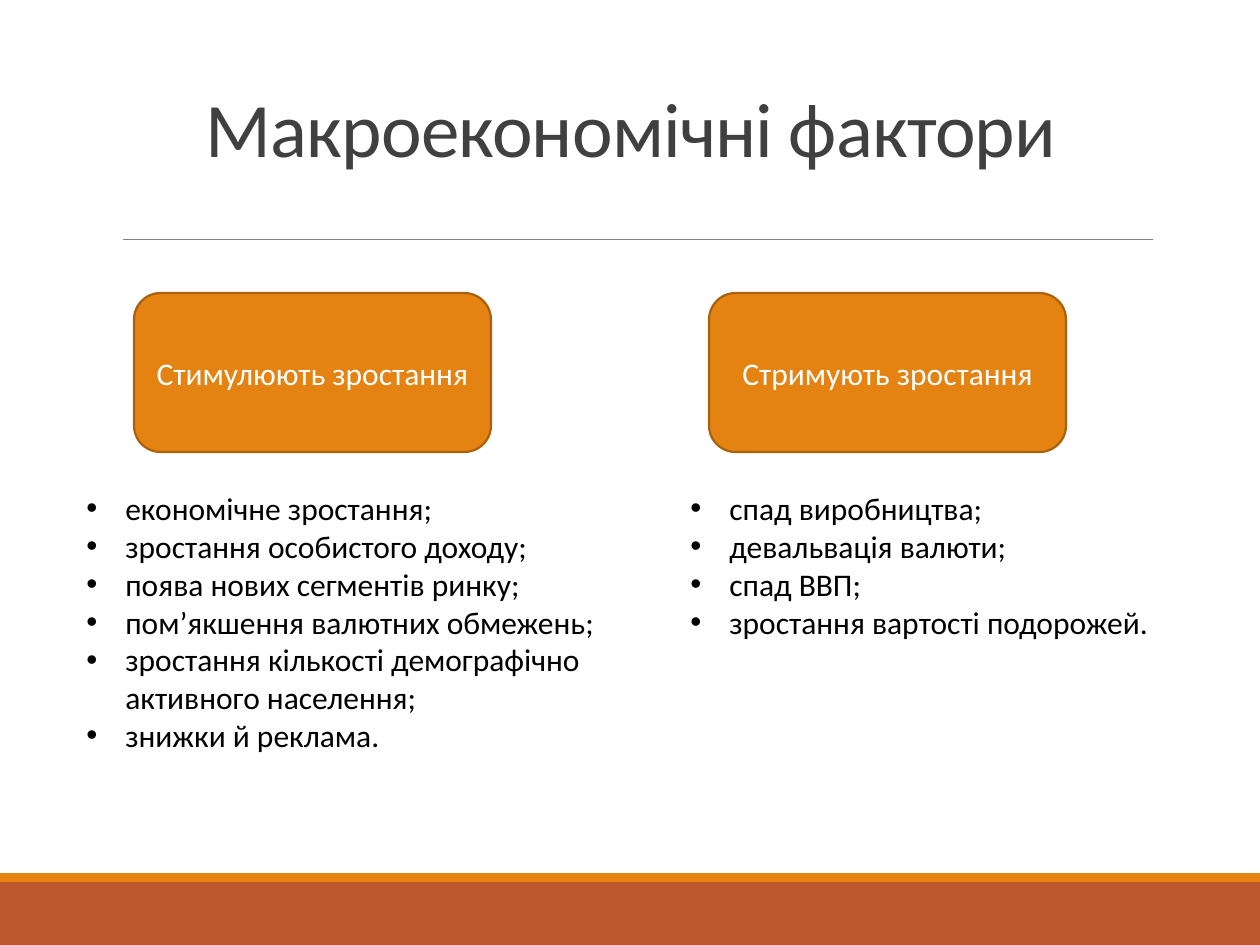
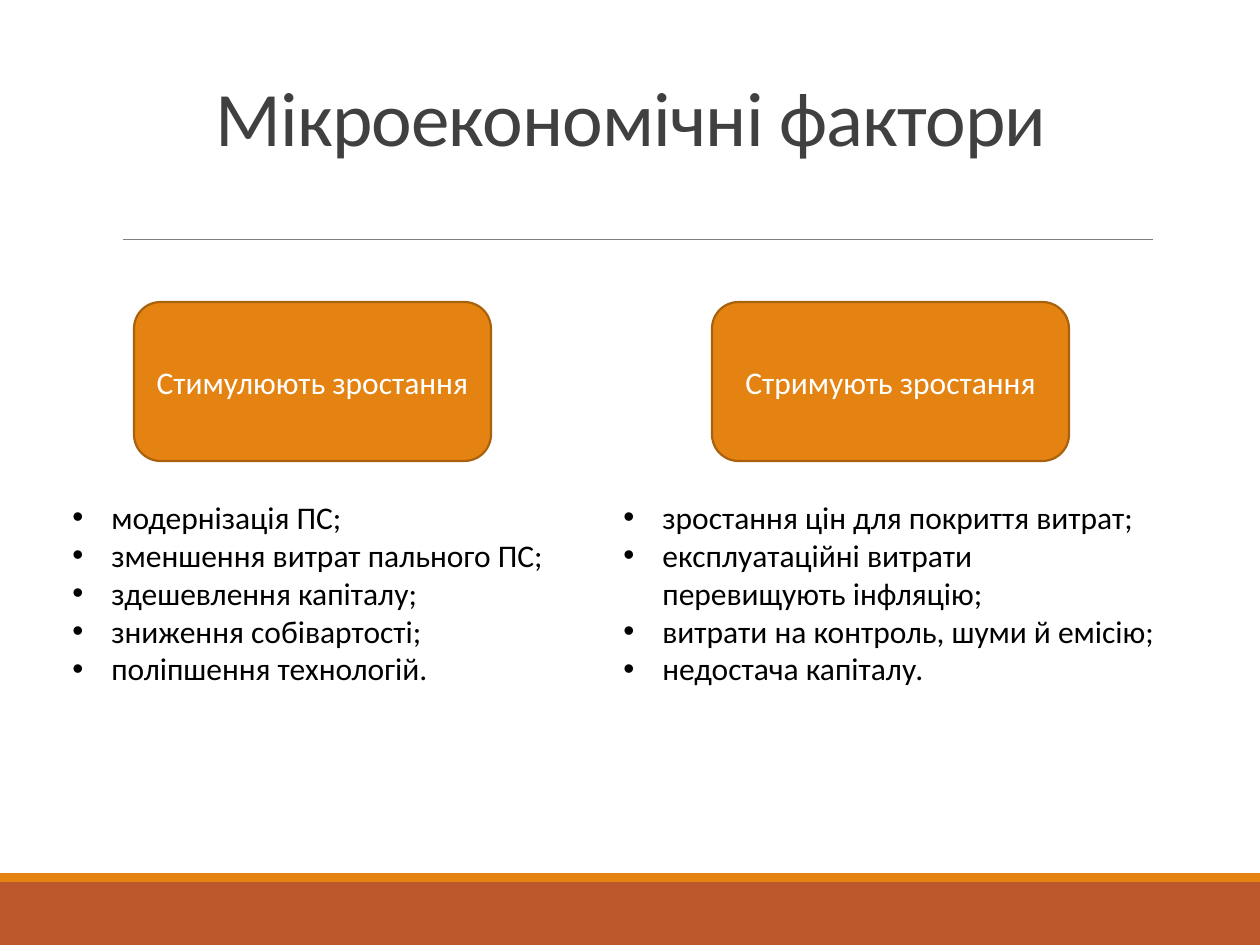
from lxml import etree
from pptx import Presentation
from pptx import util as u
from pptx.dml.color import RGBColor
from pptx.enum import shapes, text
from pptx.oxml import ns

FONT = "Calibri"
RUST = RGBColor(0xBD, 0x58, 0x2C)
ORANGE = RGBColor(0xE4, 0x83, 0x12)
BROWN = RGBColor(0xA9, 0x61, 0x0D)
GRAY = RGBColor(0x80, 0x80, 0x80)
DARK = RGBColor(0x40, 0x40, 0x40)
WHITE = RGBColor(0xFF, 0xFF, 0xFF)
BLACK = RGBColor(0, 0, 0)

WIDE, HIGH = 1260, 945
CARD_W, CARD_H = 357, 159
LIST_DROP = 190  # from card top to list top
LINE_H = 38
INDENT = 39


def px(n):
    return u.Emu(round(n * u.Inches(1) / 126))


def style(para, size, color):
    font = para.font
    font.name, font.size = FONT, u.Pt(size)
    font.color.rgb = color


def block(slide, kind, box, fill, edge=None):
    shape = slide.shapes.add_shape(kind, *map(px, box))
    shape.shadow.inherit = False
    shape.fill.solid()
    shape.fill.fore_color.rgb = fill
    if edge is None:
        shape.line.fill.background()
    else:
        shape.line.color.rgb = edge
        shape.line.width = u.Pt(1.25)
    return shape


def frame(slide):
    # Footer bands
    rect = shapes.MSO_SHAPE.RECTANGLE
    block(slide, rect, (0, HIGH - 63, WIDE, 63), RUST)
    block(slide, rect, (0, HIGH - 72, WIDE, 9), ORANGE)
    # Rule under the title
    rule = slide.shapes.add_connector(
        shapes.MSO_CONNECTOR.STRAIGHT, px(123), px(239), px(1153), px(239))
    rule.line.color.rgb = GRAY
    rule.line.width = u.Pt(0.5)
    etree.SubElement(rule._element.spPr, ns.qn("a:effectLst"))


def title(slide, words, box):
    area = slide.shapes.add_textbox(*map(px, box)).text_frame
    area.word_wrap = True
    area.vertical_anchor = text.MSO_ANCHOR.BOTTOM
    para = area.paragraphs[0]
    para.text = words
    para.alignment = text.PP_ALIGN.CENTER
    para.line_spacing = 0.85
    style(para, 44, DARK)
    para._p.pPr.find(ns.qn("a:defRPr")).set("spc", "-50")


def card(slide, words, left, top):
    shape = block(slide, shapes.MSO_SHAPE.ROUNDED_RECTANGLE,
                  (left, top, CARD_W, CARD_H), ORANGE, BROWN)
    area = shape.text_frame
    area.word_wrap = True
    area.vertical_anchor = text.MSO_ANCHOR.MIDDLE
    para = area.paragraphs[0]
    para.text = words
    para.alignment = text.PP_ALIGN.CENTER
    style(para, 18, WHITE)


def bullets(slide, items, left, top, width):
    box = (left, top, width, LINE_H * len(items) + 13)
    area = slide.shapes.add_textbox(*map(px, box)).text_frame
    area.word_wrap = True
    for i, item in enumerate(items):
        para = area.add_paragraph() if i else area.paragraphs[0]
        para.text = item
        props = para._p.get_or_add_pPr()
        props.set("marL", str(px(INDENT)))
        props.set("indent", str(-px(INDENT)))
        etree.SubElement(props, ns.qn("a:buFont"), typeface="Arial")
        etree.SubElement(props, ns.qn("a:buChar"), char="•")
        style(para, 18, BLACK)


def factors(deck, name, depth, top, columns):
    slide = deck.slides.add_slide(deck.slide_layouts[6])
    frame(slide)
    title(slide, name, (111, 45, 1040, depth))
    heads = "Стимулюють зростання", "Стримують зростання"
    for head, (card_x, list_x, width, items) in zip(heads, columns):
        card(slide, head, card_x, top)
        bullets(slide, items, list_x, top + LIST_DROP, width)


def main():
    deck = Presentation()
    deck.slide_width, deck.slide_height = px(WIDE), px(HIGH)

    factors(deck, "Макроекономічні фактори", 134, 293, [
        (134, 74, 604, [
            "економічне зростання;",
            "зростання особистого доходу;",
            "поява нових сегментів ринку;",
            "пом’якшення валютних обмежень;",
            "зростання кількості демографічно активного населення;",
            "знижки й реклама.",
        ]),
        (709, 678, 493, [
            "спад виробництва;",
            "девальвація валюти;",
            "спад ВВП;",
            "зростання вартості подорожей.",
        ]),
    ])

    factors(deck, "Мікроекономічні фактори", 123, 302, [
        (134, 60, 504, [
            "модернізація ПС;",
            "зменшення витрат пального ПС;",
            "здешевлення капіталу;",
            "зниження собівартості;",
            "поліпшення технологій.",
        ]),
        (712, 611, 558, [
            "зростання цін для покриття витрат;",
            "експлуатаційні витрати перевищують інфляцію;",
            "витрати на контроль, шуми й емісію;",
            "недостача капіталу.",
        ]),
    ])

    deck.save("out.pptx")


if __name__ == "__main__":
    main()
